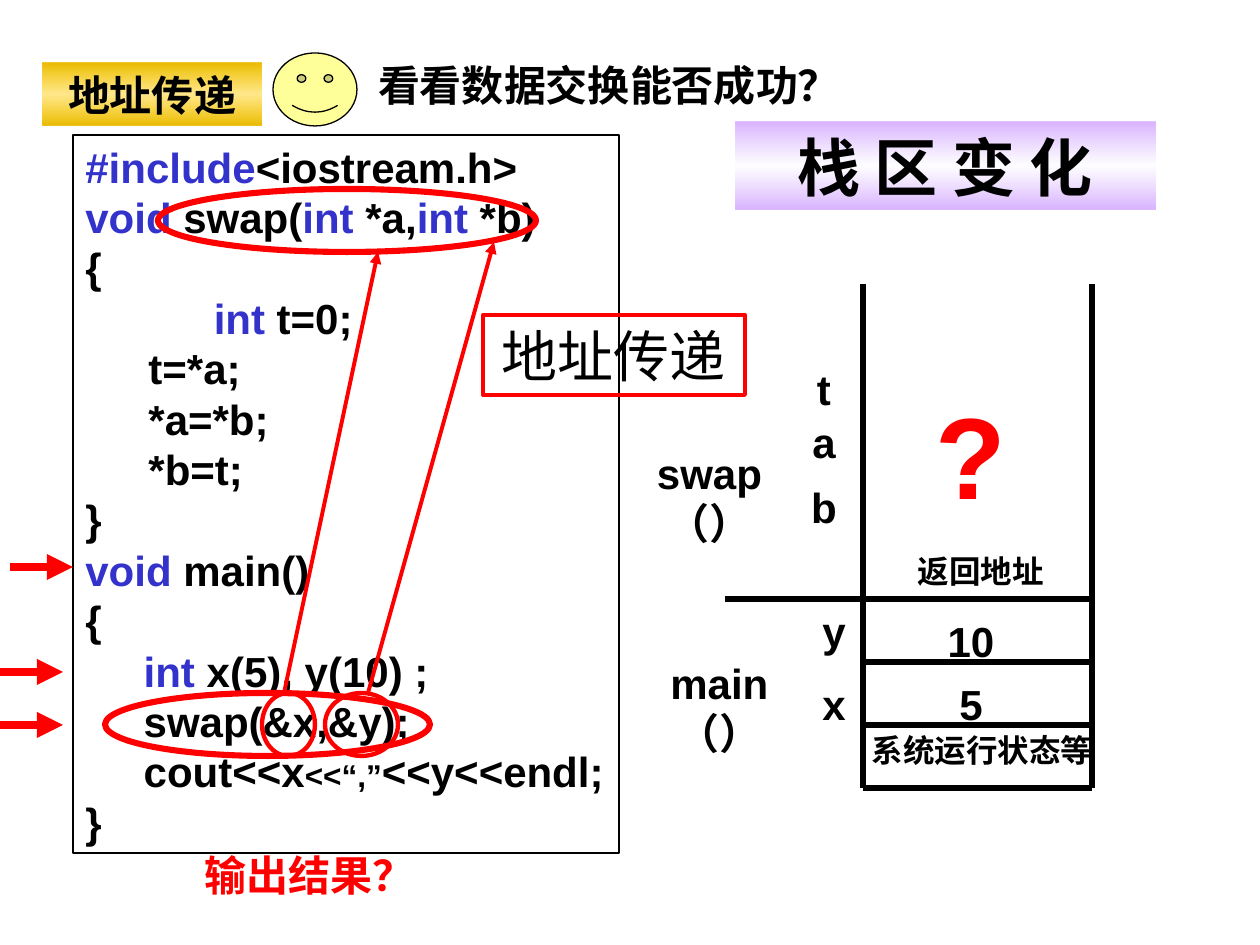
from lxml.etree import SubElement
from pptx import Presentation
from pptx.dml.color import RGBColor
from pptx.enum.shapes import MSO_CONNECTOR, MSO_SHAPE
from pptx.enum.text import MSO_ANCHOR, MSO_AUTO_SIZE, PP_ALIGN
from pptx.oxml.ns import qn
from pptx.util import Emu, Pt

COLORS = {
    "black": "000000", "red": "FF0000", "keyword": "3333CC", "face": "FFFF99",
    "gold": "EABB00", "yellow": "FFCC00", "violet": "CC99FF", "white": "FFFFFF",
}
PX_PER_INCH = 126
FONT = "Arial"


def px(length):
    return Emu(round(length * 914400 / PX_PER_INCH))


def rgb(name):
    return RGBColor.from_string(COLORS[name])


class SlideBuilder:
    def __init__(self, page):
        self.page = page

    def fill_text(self, box, lines, size=24, color="black", bold=True,
                  align=PP_ALIGN.CENTER, anchor=MSO_ANCHOR.TOP, spacing=None):
        """Each line is a list of (text, color, size); None means the default."""
        frame = box.text_frame
        frame.word_wrap = True
        frame.auto_size = MSO_AUTO_SIZE.NONE
        frame.vertical_anchor = anchor
        for number, line in enumerate(lines):
            para = frame.add_paragraph() if number else frame.paragraphs[0]
            para.alignment = align
            para.space_before = Pt(0)
            if spacing:
                para.line_spacing = Pt(spacing)
            for text, span_color, span_size in line:
                span = para.add_run()
                span.text = text
                span.font.name = FONT
                span.font.size = Pt(span_size or size)
                span.font.bold = bold
                span.font.color.rgb = rgb(span_color or color)

    def title(self, text, left, top, width, height):
        box = self.page.shapes.title
        box.left, box.top, box.width, box.height = map(px, (left, top, width, height))
        self.fill_text(box, [[plain(text)]])

    def label(self, text, left, top, width, height, **style):
        box = self.page.shapes.add_textbox(*map(px, (left, top, width, height)))
        self.fill_text(box, [[plain(text)]], **style)

    def shape(self, kind, left, top, width, height, line=None, weight=0.75, fill=None):
        shape = self.page.shapes.add_shape(kind, *map(px, (left, top, width, height)))
        shape.shadow.inherit = False
        if fill:
            shape.fill.solid()
            shape.fill.fore_color.rgb = rgb(fill)
        else:
            shape.fill.background()
        if line:
            shape.line.color.rgb = rgb(line)
            shape.line.width = Pt(weight)
        else:
            shape.line.fill.background()
        return shape

    def banner(self, text, left, top, width, height, stops, size):
        """Stops are (color, opacity percent), evenly spread from top to bottom."""
        shape = self.shape(MSO_SHAPE.RECTANGLE, left, top, width, height)
        shape.fill.gradient()
        shape.fill.gradient_angle = 270
        stop_list = shape.element.spPr.find(qn("a:gradFill")).find(qn("a:gsLst"))
        for old in list(stop_list):
            stop_list.remove(old)
        for number, (color, opacity) in enumerate(stops):
            position = number * 100000 // (len(stops) - 1)
            stop = SubElement(stop_list, qn("a:gs"), pos=str(position))
            tint = SubElement(stop, qn("a:srgbClr"), val=COLORS[color])
            SubElement(tint, qn("a:alpha"), val=str(opacity * 1000))
        self.fill_text(shape, [[plain(text)]], size=size, anchor=MSO_ANCHOR.MIDDLE)

    def line(self, x1, y1, x2, y2, color="black", weight=3.25, arrow=False):
        line = self.page.shapes.add_connector(
            MSO_CONNECTOR.STRAIGHT, *map(px, (x1, y1, x2, y2)))
        line.line.color.rgb = rgb(color)
        line.line.width = Pt(weight)
        properties = line.element.spPr
        if arrow:
            SubElement(properties.find(qn("a:ln")), qn("a:tailEnd"), type="triangle")
        SubElement(properties, qn("a:effectLst"))


def plain(text):
    return (text, None, None)


def keyword(text):
    return (text, "keyword", None)


CODE = [
    [keyword("#include"), plain("<iostream.h>")],
    [keyword("void"), plain(" swap("), keyword("int"), plain(" *a,"),
     keyword("int"), plain(" *b)")],
    [plain("{")],
    [plain("           "), keyword("int"), plain(" t=0;")],
    [plain("\tt=*a;")],
    [plain("\t*a=*b;")],
    [plain("\t*b=t;")],
    [plain("}")],
    [keyword("void"), plain(" main()")],
    [plain("{")],
    [keyword("     int"), plain(" x(5), y(10) ;")],
    [plain("     swap(&x,&y);")],
    [plain("     cout<<x"), ("<<“,”", None, 18), plain("<<y<<endl;")],
    [plain("}")],
]


def main():
    deck = Presentation()
    deck.slide_width, deck.slide_height = px(1260), px(945)
    slide = SlideBuilder(deck.slides.add_slide(deck.slide_layouts[5]))

    # Heading
    slide.title("看看数据交换能否成功？", 357, 53, 504, 63)
    slide.banner("地址传递", 42, 63, 220, 63,
                 [("gold", 100), ("yellow", 45), ("gold", 100)], 24)
    smiley = slide.shape(MSO_SHAPE.SMILEY_FACE, 273, 53, 84, 73, "black", fill="face")
    smiley.adjustments[0] = 0.05

    # Program listing
    listing = slide.shape(MSO_SHAPE.RECTANGLE, 73, 135, 546, 718, "black")
    slide.fill_text(listing, CODE, align=PP_ALIGN.LEFT, spacing=28.8)
    slide.label("输出结果？", 53, 843, 514, 63, color="red")

    # Stack frame
    left, right, top, bottom = 863, 1092, 284, 788
    for x in (left, right):
        slide.line(x, top, x, bottom)
    slide.line(725, 599, right, 599)
    for y in (662, 725, bottom):
        slide.line(left, y, right, y)
    slide.banner("栈 区 变 化", 735, 122, 420, 88,
                 [("violet", 75), ("white", 65), ("violet", 75)], 36)

    # Stack labels and values
    slide.label("main（）", 630, 651, 179, 113)
    slide.label("swap（）", 620, 441, 179, 113)
    for name, x, y in (("t", 756, 357), ("a", 756, 410), ("b", 756, 475),
                       ("y", 766, 599), ("x", 766, 672)):
        slide.label(name, x, y, 136, 63)
    for value, y in (("10", 609), ("5", 672)):
        slide.label(value, 850, y, 242, 63)
    slide.label("返回地址", 850, 546, 262, 50, size=18)
    slide.label("系统运行状态等", 840, 725, 284, 50, size=18)
    slide.label("?", 903, 378, 136, 151, size=66, color="red")

    # Address passing: circled arguments and arrows to the parameters
    for x, y, width, weight in ((105, 693, 325, 3.5), (262, 693, 53, 2.5),
                                (325, 693, 73, 2.5), (158, 189, 378, 3.5)):
        slide.shape(MSO_SHAPE.OVAL, x, y, width, 63, "red", weight)
    slide.line(284, 693, 378, 252, "red", 2.25, arrow=True)
    slide.line(368, 693, 494, 242, "red", 2.25, arrow=True)
    callout = slide.shape(MSO_SHAPE.RECTANGLE, 483, 315, 262, 80, "red", 2.25)
    slide.fill_text(callout, [[plain("地址传递")]], size=32, bold=False)

    # Execution markers
    for x, y in ((10, 567), (0, 672), (0, 725)):
        slide.line(x, y, x + 63, y, "red", 5, arrow=True)

    deck.save("out.pptx")


if __name__ == "__main__":
    main()
